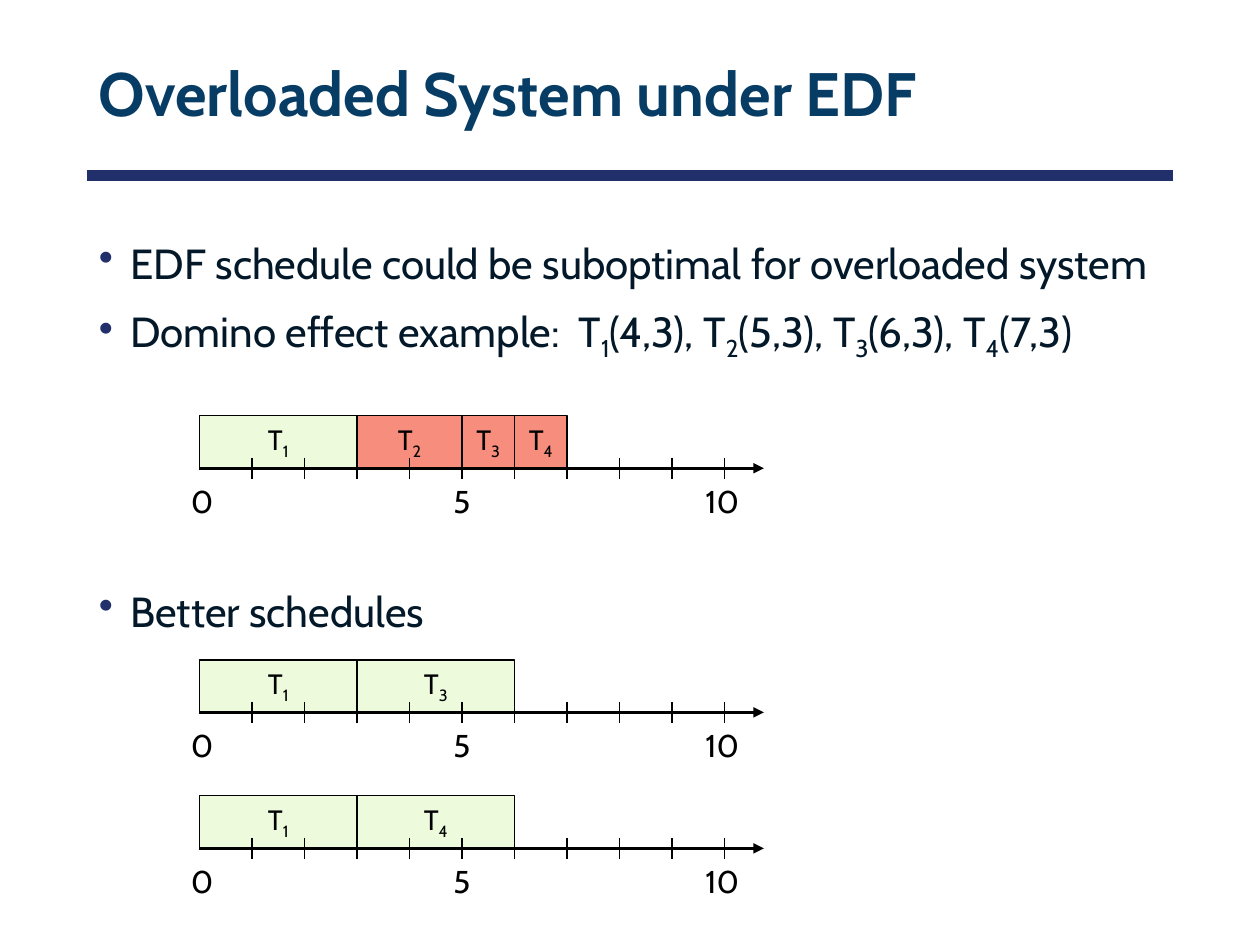
from lxml import etree
from pptx import Presentation
from pptx.dml.color import RGBColor
from pptx.enum.shapes import MSO_CONNECTOR, MSO_SHAPE
from pptx.enum.text import MSO_ANCHOR, PP_ALIGN
from pptx.oxml.ns import qn
from pptx.util import Inches, Pt

STRAIGHT = MSO_CONNECTOR.STRAIGHT
RECTANGLE = MSO_SHAPE.RECTANGLE
MIDDLE = MSO_ANCHOR.MIDDLE
CENTER = PP_ALIGN.CENTER

NAVY = RGBColor(0x21, 0x30, 0x6A)
TITLE_BLUE = RGBColor(0x07, 0x3C, 0x65)
INK = RGBColor(0x03, 0x18, 0x28)
BLACK = RGBColor(0, 0, 0)
GREEN = RGBColor(0xED, 0xFB, 0xDC)
RED = RGBColor(0xF7, 0x8D, 0x7C)

FONT = "Cabin"
COLUMNS = 24
WIDTH, HEIGHT = 10, 7.5
MARGIN, CONTENT_WIDTH = 1.65, 20.7
ORIGIN = 3.8
AXIS_LENGTH = 10.75
TICK_COUNT = 10
TICK_REACH = 0.2
TIME_LABELS = [(0, 0.4), (5, 0.4), (10, 0.6)]

BULLETS = [
    ("EDF schedule could be suboptimal for overloaded system", 10),
    ("Domino effect example:  T_1(4,3), T_2(5,3), T_3(6,3), T_4(7,3)", 10),
    ("Better schedules", 127.5),
]
SCHEDULES = [
    (8.92, [("T_1", 3, GREEN), ("T_2", 2, RED), ("T_3", 1, RED), ("T_4", 1, RED)]),
    (13.57, [("T_1", 3, GREEN), ("T_3", 3, GREEN)]),
    (16.16, [("T_1", 3, GREEN), ("T_4", 3, GREEN)]),
]


def grid(*cells):
    return [Inches(cell * WIDTH / COLUMNS) for cell in cells]


def write(paragraph, text, size, color, bold=False):
    first, *rest = text.split("_")
    paragraph.add_run().text = first
    for piece in rest:
        subscript = paragraph.add_run()
        subscript.text = piece[0]
        subscript._r.get_or_add_rPr().set("baseline", "-25000")
        if piece[1:]:
            paragraph.add_run().text = piece[1:]
    font = paragraph.font
    font.name, font.size, font.bold = FONT, Pt(size), bold
    font.color.rgb = color


def add_text_frame(shapes, left, top, width, height):
    frame = shapes.add_textbox(*grid(left, top, width, height)).text_frame
    frame.word_wrap = True
    return frame


def add_line(shapes, start, end, color, weight, arrow=False):
    line = shapes.add_connector(STRAIGHT, *grid(*start, *end))
    line.line.color.rgb = color
    line.line.width = Pt(weight)
    if arrow:
        outline = line.line._get_or_add_ln()
        etree.SubElement(outline, qn("a:tailEnd"), type="triangle")
    etree.SubElement(line._element.spPr, qn("a:effectLst"))


def add_title(shapes, text):
    frame = add_text_frame(shapes, MARGIN, 0.55, CONTENT_WIDTH, 2.6)
    frame.vertical_anchor = MIDDLE
    paragraph = frame.paragraphs[0]
    paragraph.line_spacing = 0.9
    write(paragraph, text, 35, TITLE_BLUE, bold=True)


def add_bullets(shapes, bullets):
    frame = add_text_frame(shapes, MARGIN, 4.4, CONTENT_WIDTH, 13)
    for index, (text, space) in enumerate(bullets):
        paragraph = frame.add_paragraph() if index else frame.paragraphs[0]
        paragraph.space_before = Pt(space)
        properties = paragraph._p.get_or_add_pPr()
        properties.set("marL", str(Inches(0.25)))
        properties.set("indent", str(Inches(-0.25)))
        bullet_color = etree.SubElement(properties, qn("a:buClr"))
        etree.SubElement(bullet_color, qn("a:srgbClr"), val=str(NAVY))
        etree.SubElement(properties, qn("a:buChar"), char="•")
        write(paragraph, text, 24, INK)


def add_task(shapes, start, axis, name, duration, color):
    task = shapes.add_shape(RECTANGLE, *grid(ORIGIN + start, axis - 1, duration, 1))
    task.shadow.inherit = False
    task.fill.solid()
    task.fill.fore_color.rgb = color
    task.line.color.rgb = BLACK
    task.line.width = Pt(0.75)
    frame = task.text_frame
    frame.word_wrap = False
    frame.vertical_anchor = MIDDLE
    paragraph = frame.paragraphs[0]
    paragraph.alignment = CENTER
    write(paragraph, name, 16, BLACK)


def add_schedule(slide, axis, tasks):
    shapes = slide.shapes.add_group_shape().shapes
    start = 0
    for name, duration, color in tasks:
        add_task(shapes, start, axis, name, duration, color)
        start += duration
    add_line(shapes, (ORIGIN, axis), (ORIGIN + AXIS_LENGTH, axis), BLACK, 1.5, arrow=True)
    for time in range(1, TICK_COUNT + 1):
        tick = ORIGIN + time
        add_line(shapes, (tick, axis - TICK_REACH), (tick, axis + TICK_REACH), BLACK, 0.75)
    for time, shift in TIME_LABELS:
        frame = add_text_frame(shapes, ORIGIN + time - shift, axis + 0.15, 1.6, 0.96)
        write(frame.paragraphs[0], str(time), 18, BLACK)


def main():
    presentation = Presentation()
    presentation.slide_width = Inches(WIDTH)
    presentation.slide_height = Inches(HEIGHT)
    slide = presentation.slides.add_slide(presentation.slide_layouts[6])
    add_line(slide.shapes, (MARGIN, 3.34), (MARGIN + CONTENT_WIDTH, 3.34), NAVY, 6)
    add_bullets(slide.shapes, BULLETS)
    add_title(slide.shapes, "Overloaded System under EDF")
    for axis, tasks in SCHEDULES:
        add_schedule(slide, axis, tasks)
    presentation.save("out.pptx")


if __name__ == "__main__":
    main()
